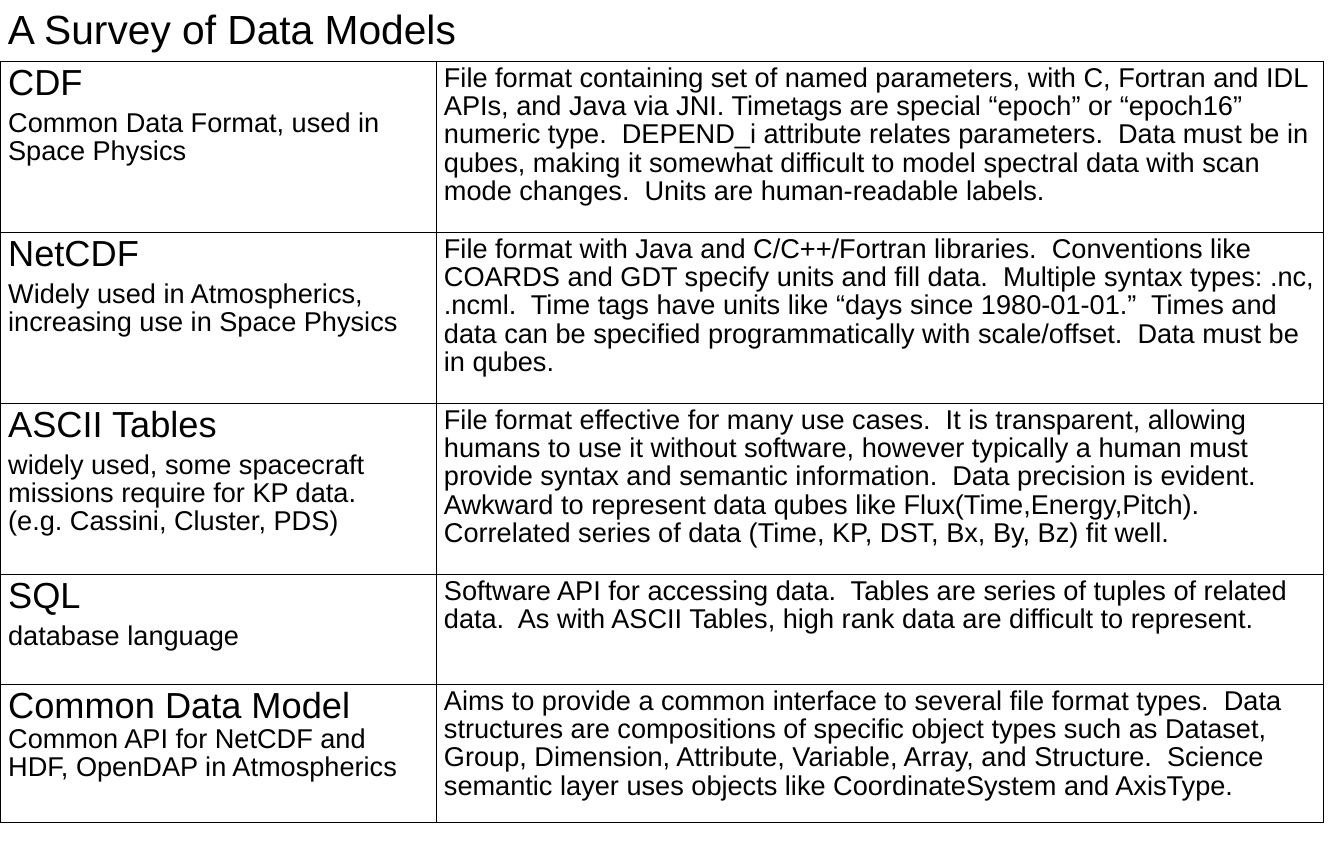
"""Build the slide "A Survey of Data Models": a title above a two-column table."""
import pptx
import pptx.dml.color
import pptx.enum.text
import pptx.oxml
import pptx.oxml.ns
import pptx.util

Inches, Pt = pptx.util.Inches, pptx.util.Pt

TITLE = "A Survey of Data Models"
MODELS = [
    ("CDF", "Common Data Format, used in Space Physics",
     "File format containing set of named parameters, with C, Fortran and IDL APIs, and Java via JNI. "
     "Timetags are special “epoch” or “epoch16” numeric type.  DEPEND_i attribute relates parameters.  "
     "Data must be in qubes, making it somewhat difficult to model spectral data with scan mode changes.  "
     "Units are human-readable labels."),
    ("NetCDF", "Widely used in Atmospherics, increasing use in Space Physics",
     "File format with Java and C/C++/Fortran libraries.  Conventions like COARDS and GDT specify units "
     "and fill data.  Multiple syntax types: .nc, .ncml.  Time tags have units like “days since "
     "1980-01-01.”  Times and data can be specified programmatically with scale/offset.  "
     "Data must be in qubes."),
    ("ASCII Tables", "widely used, some spacecraft missions require for KP data.\v(e.g. Cassini, Cluster, PDS)",
     "File format effective for many use cases.  It is transparent, allowing humans to use it without "
     "software, however typically a human must provide syntax and semantic information.  Data precision "
     "is evident.  Awkward to represent data qubes like Flux(Time,Energy,Pitch).  Correlated series of "
     "data (Time, KP, DST, Bx, By, Bz) fit well."),
    ("SQL", "database language",
     "Software API for accessing data.  Tables are series of tuples of related data.  As with ASCII "
     "Tables, high rank data are difficult to represent."),
    ("Common Data Model ", "Common API for NetCDF and HDF, OpenDAP in Atmospherics",
     "Aims to provide a common interface to several file format types.  Data structures are compositions "
     "of specific object types such as Dataset, Group, Dimension, Attribute, Variable, Array, and "
     "Structure.  Science semantic layer uses objects like CoordinateSystem and AxisType."),
]
COL_WIDTHS = [5.35, 10.9]
ROW_HEIGHTS = [2.1, 2.1, 2.1, 1.35, 1.7]
TABLE_TOP = 0.75
THEME = {"font": "Arial", "ink": "000000", "title": 36, "name": 32, "body": 24,
         "spacing": 0.93, "gap": 6, "outer": 0.5, "inner": 0.23}


def write(tf, paragraphs, spacing=None, gap=0):
    """Fill a text frame with paragraphs, each a list of (text, size) runs."""
    for i, runs in enumerate(paragraphs):
        p = tf.add_paragraph() if i else tf.paragraphs[0]
        p.line_spacing = spacing
        p.space_before = Pt(gap if i else 0)
        for text, size in runs:
            for j, line in enumerate(text.split("\v")):
                if j:
                    p.add_line_break()
                r = p.add_run()
                r.text = line
                r.font.name = THEME["font"]
                r.font.size = Pt(size)
                r.font.color.rgb = pptx.dml.color.RGBColor.from_string(THEME["ink"])


def set_borders(cell, outer_sides):
    """Draw the four cell borders, heavier on the sides at the table's edge."""
    tc_pr = cell._tc.get_or_add_tcPr()
    for side in "LRTB":
        width = Pt(THEME["outer" if side in outer_sides else "inner"])
        tc_pr.append(pptx.oxml.parse_xml(
            f'<a:ln{side} {pptx.oxml.ns.nsdecls("a")} w="{width}"><a:solidFill>'
            f'<a:srgbClr val="{THEME["ink"]}"/></a:solidFill></a:ln{side}>'))


def add_title(slide):
    """Place the title at the top left."""
    tf = slide.shapes.add_textbox(0, 0, Inches(5.73), Inches(0.7)).text_frame
    tf.word_wrap = False
    tf.auto_size = pptx.enum.text.MSO_AUTO_SIZE.SHAPE_TO_FIT_TEXT
    write(tf, [[(TITLE, THEME["title"])]])


def add_models(slide):
    """Place the table of data models."""
    n_rows, n_cols = len(MODELS), len(COL_WIDTHS)
    table = slide.shapes.add_table(n_rows, n_cols, 0, Inches(TABLE_TOP),
                                   Inches(sum(COL_WIDTHS)), Inches(sum(ROW_HEIGHTS))).table
    table.first_row = table.horz_banding = False
    for column, width in zip(table.columns, COL_WIDTHS):
        column.width = Inches(width)
    for i, (name, use, description) in enumerate(MODELS):
        table.rows[i].height = Inches(ROW_HEIGHTS[i])
        heading, note = (name, THEME["name"]), (use, THEME["body"])
        label = [[heading, note]] if name.endswith(" ") else [[heading], [note]]
        for j, paragraphs in enumerate([label, [[(description, THEME["body"])]]]):
            cell = table.cell(i, j)
            cell.margin_left = cell.margin_right = Inches(0.1)
            cell.margin_top = cell.margin_bottom = Inches(0.05)
            edges = {"T": i == 0, "B": i == n_rows - 1, "L": j == 0, "R": j == n_cols - 1}
            set_borders(cell, [side for side, at_edge in edges.items() if at_edge])
            cell.fill.background()
            write(cell.text_frame, paragraphs, THEME["spacing"], THEME["gap"])


def main():
    prs = pptx.Presentation()
    prs.slide_width, prs.slide_height = Inches(16.5), Inches(10.5)
    s = prs.slides.add_slide(prs.slide_layouts[6])
    add_title(s)
    add_models(s)
    prs.save("out.pptx")


if __name__ == "__main__":
    main()
